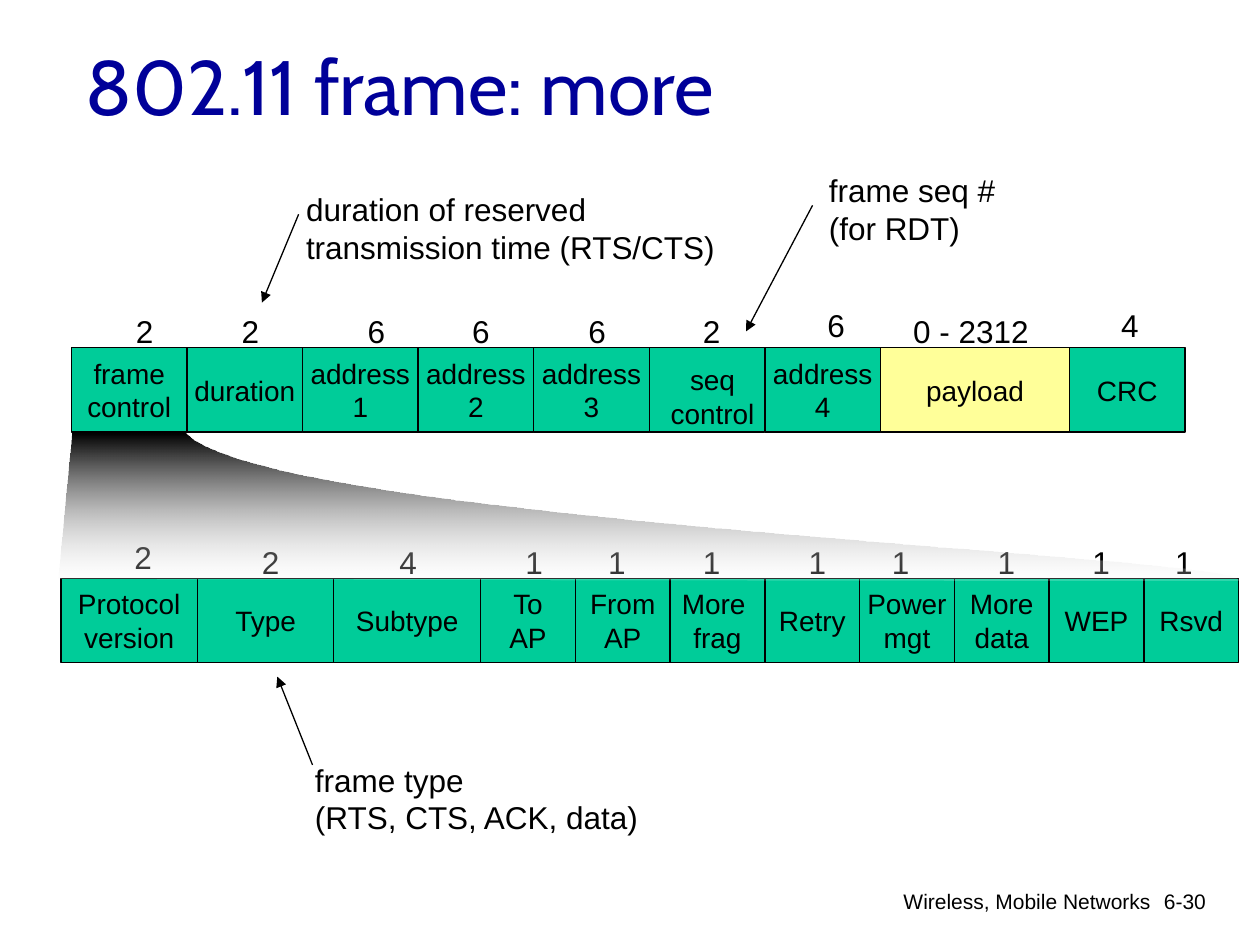
from lxml import etree
from pptx import Presentation
from pptx import util as u
from pptx.dml.color import RGBColor
from pptx.enum import shapes, text
from pptx.oxml.ns import qn

GREEN, YELLOW, BLACK = "00CC99", "FFFF99", "000000"
LEFT, MID, RIGHT = text.PP_ALIGN.LEFT, text.PP_ALIGN.CENTER, text.PP_ALIGN.RIGHT

# Frame fields: label, width
FRAME = [("frame\ncontrol", 2.33), ("duration", 2.33), ("address\n1", 2.33),
         ("address\n2", 2.33), ("address\n3", 2.33), ("", 2.33),
         ("address\n4", 2.33), ("payload", 3.81), ("CRC", 2.33)]
# Byte counts: text, left, top, width
BYTES = [("2", 2.49, 6.17, 0.86), ("2", 4.62, 6.17, 0.86), ("6", 7.16, 6.17, 0.86),
         ("6", 9.27, 6.17, 0.86), ("6", 11.61, 6.17, 0.86), ("2", 13.92, 6.17, 0.86),
         ("6", 16.43, 6.05, 0.86), ("0 - 2312", 18.16, 6.17, 2.84),
         ("4", 22.35, 6.05, 0.86)]
# Frame control fields: label, width, bit count, left of the count
CONTROL = [("Protocol\nversion", 2.75, "2", 2.46), ("Type", 2.75, "2", 5.03),
           ("Subtype", 2.96, "4", 7.8), ("To\nAP", 1.91, "1", 10.34),
           ("From\nAP", 1.91, "1", 12.01), ("More \nfrag", 1.91, "1", 13.92),
           ("Retry", 1.91, "1", 16.05), ("Power\nmgt", 1.91, "1", 17.73),
           ("More\ndata", 1.91, "1", 19.86), ("WEP", 1.91, "1", 21.77),
           ("Rsvd", 1.91, "1", 23.44)]
# Notes: text, left, top, width
NOTES = [("duration of reserved\ntransmission time (RTS/CTS)", 5.92, 3.71, 8.84),
         ("frame seq #\n(for RDT)", 16.46, 3.33, 3.89),
         ("frame type\n(RTS, CTS, ACK, data)", 6.1, 15.21, 7.16)]
ARROWS = [(6.02, 4.32, 5.28, 6.1), (16.38, 4.14, 15.04, 6.68), (6.3, 15.42, 5.59, 13.64)]


def rgb(code):
    return RGBColor.from_string(code)


def write(shape, words, size, align=LEFT, name="Arial", color=BLACK):
    frame = shape.text_frame
    frame.text = words
    for para in frame.paragraphs:
        para.alignment = align
        para.font.size = u.Pt(size)
        para.font.name = name
        para.font.color.rgb = rgb(color)
    return frame


def label(slide, words, x, y, w, h=1.02, size=18, align=LEFT, wrap=False):
    box = slide.shapes.add_textbox(u.Cm(x), u.Cm(y), u.Cm(w), u.Cm(h))
    frame = write(box, words, size, align)
    frame.word_wrap = wrap
    if not wrap:
        frame.auto_size = text.MSO_AUTO_SIZE.SHAPE_TO_FIT_TEXT


def row(slide, x, y, cells):
    for words, w in cells:
        cell = slide.shapes.add_shape(shapes.MSO_SHAPE.RECTANGLE,
                                      u.Cm(x), u.Cm(y), u.Cm(w), u.Cm(1.7))
        cell.shadow.inherit = False
        cell.fill.solid()
        cell.fill.fore_color.rgb = rgb(YELLOW if words == "payload" else GREEN)
        cell.line.color.rgb = rgb(BLACK)
        cell.line.width = u.Pt(0.75)
        if words:
            frame = write(cell, words, 16, MID)
            frame.word_wrap = False
            frame.vertical_anchor = text.MSO_ANCHOR.MIDDLE
        x += w


def arrow(slide, x1, y1, x2, y2):
    line = slide.shapes.add_connector(shapes.MSO_CONNECTOR.STRAIGHT,
                                      u.Cm(x1), u.Cm(y1), u.Cm(x2), u.Cm(y2))
    line.line.color.rgb = rgb(BLACK)
    line.line.width = u.Pt(0.75)
    etree.SubElement(line.line._get_or_add_ln(), qn("a:tailEnd"), type="triangle")
    etree.SubElement(line._element.spPr, qn("a:effectLst"))


def curve(a, b, c, d, steps=40):
    """Points of a cubic Bezier curve."""
    for i in range(steps + 1):
        t = i / steps
        s = 1 - t
        yield tuple(s**3 * p + 3 * s * s * t * q + 3 * s * t * t * r + t**3 * v
                    for p, q, r, v in zip(a, b, c, d))


def fan(slide):
    """Fading sweep from the frame control cell to its expanded row."""
    edge = curve((24.97, 11.71), (25.4, 11.2), (5.49, 10.54), (3.76, 8.74))
    path = slide.shapes.build_freeform(u.Cm(1.47), u.Cm(8.74))
    path.add_line_segments([(u.Cm(x), u.Cm(y)) for x, y in [(1.19, 11.66), *edge]])
    shape = path.convert_to_shape()
    shape.shadow.inherit = False
    shape.line.fill.background()
    shape.fill.gradient()
    shape.fill.gradient_angle = 270
    for stop, code, place in zip(shape.fill.gradient_stops, (BLACK, "FFFFFF"), (0, 1)):
        stop.color.rgb = rgb(code)
        stop.position = place
    last = list(shape._element.spPr.iter(qn("a:srgbClr")))[-1]
    etree.SubElement(last, qn("a:alpha"), val="18000")


def head(slide, words):
    title = slide.shapes.title
    title.left, title.top = u.Cm(1.47), u.Cm(0.64)
    title.width, title.height = u.Cm(21.59), u.Cm(3.18)
    frame = write(title, words, 44, name="Cabin", color="000099")
    frame.vertical_anchor = text.MSO_ANCHOR.TOP
    frame.auto_size = text.MSO_AUTO_SIZE.NONE


def main():
    deck = Presentation()
    deck.slide_width, deck.slide_height = u.Cm(25.4), u.Cm(19.05)
    slide = deck.slides.add_slide(deck.slide_layouts[5])
    head(slide, "802.11 frame: more")

    # Footer
    label(slide, "Wireless, Mobile Networks", 12.73, 17.78, 10.72, 0.89, 12, RIGHT, True)
    label(slide, "6-30", 22.68, 17.78, 1.88, 1.27, 12, RIGHT, True)

    # Frame with byte counts
    row(slide, 1.44, 7.01, FRAME)
    for item in BYTES:
        label(slide, *item)
    label(slide, "seq\ncontrol", 13.26, 7.19, 2.21, 1.63, 16, MID)

    # Frame control with bit counts, first one raised
    row(slide, 1.23, 11.66, [field[:2] for field in CONTROL])
    for i, (_, _, count, x) in enumerate(CONTROL):
        label(slide, count, x, 10.82 if i else 10.72, 0.86)
    fan(slide)

    # Notes and arrows
    for item in NOTES:
        label(slide, *item, 1.8)
    for ends in ARROWS:
        arrow(slide, *ends)
    deck.save("out.pptx")


if __name__ == "__main__":
    main()
